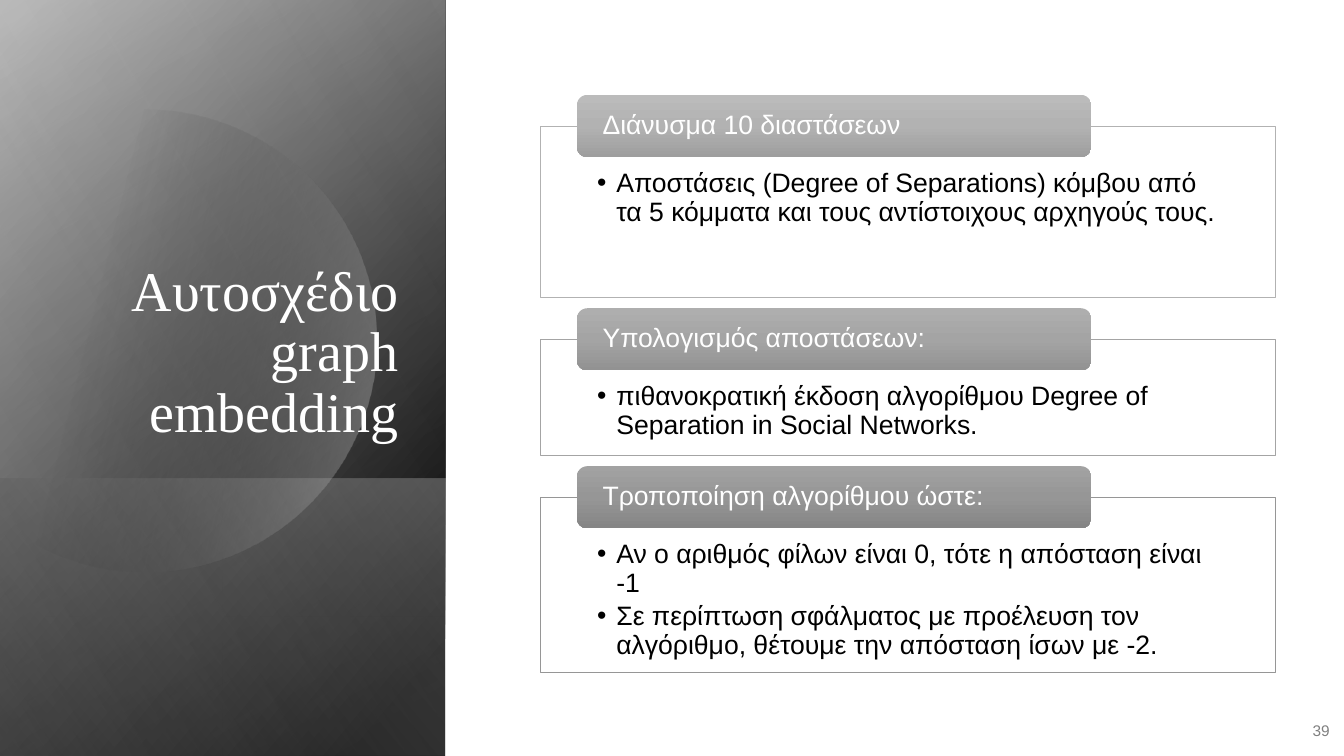
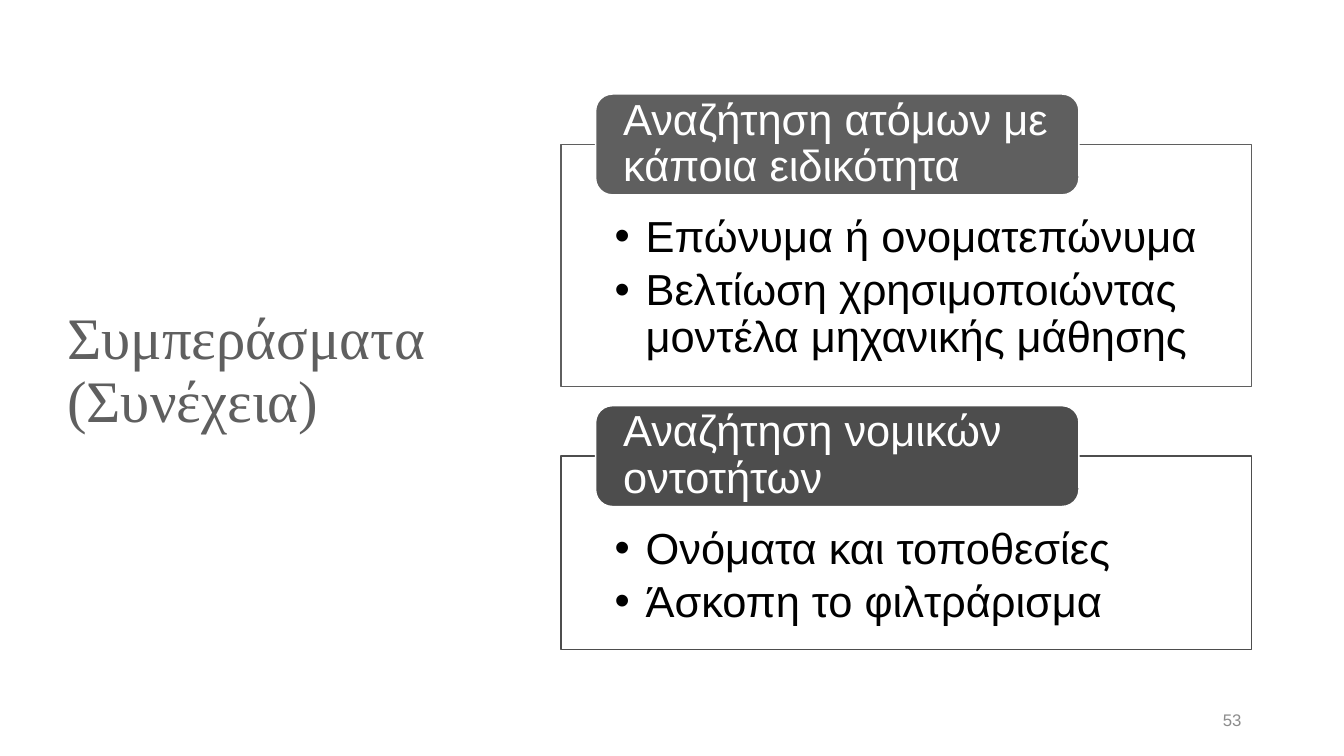
from dataclasses import dataclass
from math import cos, radians, sin

from lxml import etree
from pptx import Presentation
from pptx import util as u
from pptx.dml.color import RGBColor
from pptx.enum import shapes, text
from pptx.oxml.ns import qn


@dataclass(frozen=True)
class Theme:
    serif: str = "Times New Roman"
    sans: str = "Arial"
    white: str = "FFFFFF"
    black: str = "000000"
    slate: str = "5F5F5F"
    charcoal: str = "4D4D4D"
    silver: str = "DDDDDD"
    spacing: float = 0.9


theme = Theme()
deck = Presentation()
deck.slide_width, deck.slide_height = u.Emu(12192000), u.Emu(6858000)

# Grid: 160 columns by 90 rows of square cells
COLUMNS, ROWS = 160, 90
cell = deck.slide_width // COLUMNS
LEFT, RIGHT = text.PP_ALIGN.LEFT, text.PP_ALIGN.RIGHT
TOP, MIDDLE, BOTTOM = (text.MSO_ANCHOR.TOP, text.MSO_ANCHOR.MIDDLE,
                       text.MSO_ANCHOR.BOTTOM)


def style(box, fill, line=None, line_width=1, angle=90):
    """Fill with a colour or a list of (position, colour, opacity) stops."""
    box.shadow.inherit = False
    if isinstance(fill, str):
        box.fill.solid()
        box.fill.fore_color.rgb = RGBColor.from_string(fill)
    else:
        box.fill.gradient()
        box.fill.gradient_angle = 360 - angle
        stops = box._element.spPr.find(".//" + qn("a:gsLst"))
        for old in list(stops):
            stops.remove(old)
        for position, colour, opacity in fill:
            stop = etree.SubElement(stops, qn("a:gs"), pos=str(position * 1000))
            tint = etree.SubElement(stop, qn("a:srgbClr"), val=colour)
            etree.SubElement(tint, qn("a:alpha"), val=str(opacity * 1000))
    if line:
        box.line.color.rgb = RGBColor.from_string(line)
        box.line.width = u.Pt(line_width)
    else:
        box.line.fill.background()


def write(box, lines, size, colour, font=theme.sans, align=LEFT, anchor=MIDDLE,
          insets=(1.2, 0.6, 1.2, 0.6), hanging=0, after=0):
    """Write paragraphs; insets and hanging are in cells, after in points."""
    frame = box.text_frame
    frame.word_wrap = True
    frame.auto_size = text.MSO_AUTO_SIZE.NONE
    frame.vertical_anchor = anchor
    (frame.margin_left, frame.margin_top,
     frame.margin_right, frame.margin_bottom) = (round(n * cell) for n in insets)
    for number, line in enumerate(lines):
        para = frame.add_paragraph() if number else frame.paragraphs[0]
        if hanging:
            props = para._p.get_or_add_pPr()
            props.set("marL", str(round(hanging * cell)))
            props.set("indent", str(-round(hanging * cell)))
            etree.SubElement(props, qn("a:buFont"), typeface=theme.sans)
            etree.SubElement(props, qn("a:buChar"), char="•")
        para.alignment = align
        para.line_spacing = theme.spacing
        para.space_after = u.Pt(after)
        span = para.add_run()
        span.text = line
        span.font.name, span.font.size = font, u.Pt(size)
        span.font.color.rgb = RGBColor.from_string(colour)


# Content: each card is (tab text, tab fill, line colour, frame height, bullets)
pages = [
    dict(title="Αυτοσχέδιο graph embedding", title_at=(7.7, 22.1, 40.9, 31.4),
         title_format=dict(size=40, colour=theme.white, align=RIGHT, anchor=BOTTOM),
         number="39", number_at=(153.6, 84.7, 5.9, 4.8),
         number_format=dict(size=11, colour="808080"),
         panel=True, left=64.3, top=11.3, width=87.5, tab=7.4, gap=1.3,
         size=19, hanging=2.3, line_width=0.5, tab_line=None,
         cards=[
             ("Διάνυσμα 10 διαστάσεων",
              [(0, "BBBBBB", 100), (50, "B2B2B2", 100), (100, "9E9E9E", 100)],
              "B2B2B2", 20.4,
              ["Αποστάσεις (Degree of Separations) κόμβου από τα 5 κόμματα και "
               "τους αντίστοιχους αρχηγούς τους."]),
             ("Υπολογισμός αποστάσεων:",
              [(0, "AEAEAE", 100), (50, "A4A4A4", 100), (100, "929292", 100)],
              "A4A4A4", 13.8,
              ["πιθανοκρατική έκδοση αλγορίθμου Degree of Separation in Social "
               "Networks."]),
             ("Τροποποίηση αλγορίθμου ώστε:",
              [(0, "A2A2A2", 100), (50, "969696", 100), (100, "858585", 100)],
              "969696", 20.8,
              ["Αν ο αριθμός φίλων είναι 0, τότε η απόσταση είναι -1",
               "Σε περίπτωση σφάλματος με προέλευση τον αλγόριθμο, θέτουμε την "
               "απόσταση ίσων με -2."]),
         ]),
    dict(title="Συμπεράσματα (Συνέχεια)", title_at=(6.8, 8.2, 49.9, 72.2),
         title_format=dict(size=42, colour=theme.slate),
         number="53", number_at=(113, 83.4, 36, 4.8),
         number_format=dict(size=12, colour="8C8C8C"),
         panel=False, left=66.8, top=11.2, width=82.2, tab=12, gap=2.3,
         size=31, hanging=3.7, line_width=1, tab_line=theme.white,
         cards=[
             ("Αναζήτηση ατόμων με κάποια ειδικότητα", theme.slate, theme.slate, 28.8,
              ["Επώνυμα ή ονοματεπώνυμα",
               "Βελτίωση χρησιμοποιώντας μοντέλα μηχανικής μάθησης"]),
             ("Αναζήτηση νομικών οντοτήτων", theme.charcoal, theme.charcoal, 23,
              ["Ονόματα και τοποθεσίες", "Άσκοπη το φιλτράρισμα"]),
         ]),
]

# Side panel: layers (depth up from the bottom edge, stops, angle), None = disc
PANEL = 53
layers = [
    (ROWS, [(8, theme.black, 100), (100, "A6A6A6", 100)], 50),
    (ROWS, [(0, theme.black, 0), (99, theme.silver, 46)], 30),
    (33, [(2, theme.silver, 29), (100, theme.black, 30)], 130),
    (None, [(29, theme.black, 0), (100, theme.silver, 43)], 14),
    (ROWS, [(0, theme.black, 0), (99, "EBEBEB", 11)], 120),
]
DISC_X, DISC_Y, RADIUS, SWEEP = 17.3, 40.6, 27.5, 129

for content in pages:
    page = deck.slides.add_slide(deck.slide_layouts[5])

    # Side panel
    for depth, stops, angle in layers if content["panel"] else []:
        if depth is None:
            rim = [(round((DISC_X + RADIUS * cos(radians(turn))) * cell),
                    round((DISC_Y + RADIUS * sin(radians(turn))) * cell))
                   for turn in range(-SWEEP, SWEEP + 1, 3)]
            builder = page.shapes.build_freeform(*rim[0])
            builder.add_line_segments(rim[1:], close=True)
            layer = builder.convert_to_shape()
        else:
            at = ((PANEL - depth) / 2, ROWS - (depth + PANEL) / 2, depth, PANEL)
            layer = page.shapes.add_shape(shapes.MSO_SHAPE.RECTANGLE,
                                          *(round(n * cell) for n in at))
            layer.rotation = 90
            layer._element.spPr.find(qn("a:xfrm")).set("flipH", "1")
        style(layer, stops, angle=angle)

    # Title, brought in front of the panel
    title = page.shapes.title
    title.left, title.top, title.width, title.height = (
        round(n * cell) for n in content["title_at"])
    write(title, [content["title"]], font=theme.serif, **content["title_format"])
    page.shapes._spTree.append(title._element)

    # Page number
    number = page.shapes.add_textbox(*(round(n * cell) for n in content["number_at"]))
    write(number, [content["number"]], align=RIGHT, **content["number_format"])

    # Cards: a frame with bullets, and a tab centred on its top edge
    left, width, tab_height = content["left"], content["width"], content["tab"]
    size, top = content["size"], content["top"]
    for heading, tab_fill, line, height, bullets in content["cards"]:
        frame_top = top + tab_height / 2
        frame_box = page.shapes.add_shape(
            shapes.MSO_SHAPE.RECTANGLE,
            *(round(n * cell) for n in (left, frame_top, width, height)))
        style(frame_box, theme.white, line, content["line_width"])
        side = width * 0.0775
        write(frame_box, bullets, size, theme.black, anchor=TOP,
              insets=(side, tab_height * 0.7, side, 0),
              hanging=content["hanging"], after=round(size * 0.15, 1))

        tab = page.shapes.add_shape(
            shapes.MSO_SHAPE.ROUNDED_RECTANGLE,
            *(round(n * cell) for n in (left + width * 0.05, top,
                                        width * 0.7, tab_height)))
        style(tab, tab_fill, content["tab_line"])
        write(tab, [heading], size, theme.white, insets=(2.7, 0, 2.7, 0))
        top = frame_top + height + content["gap"]

deck.save("out.pptx")
